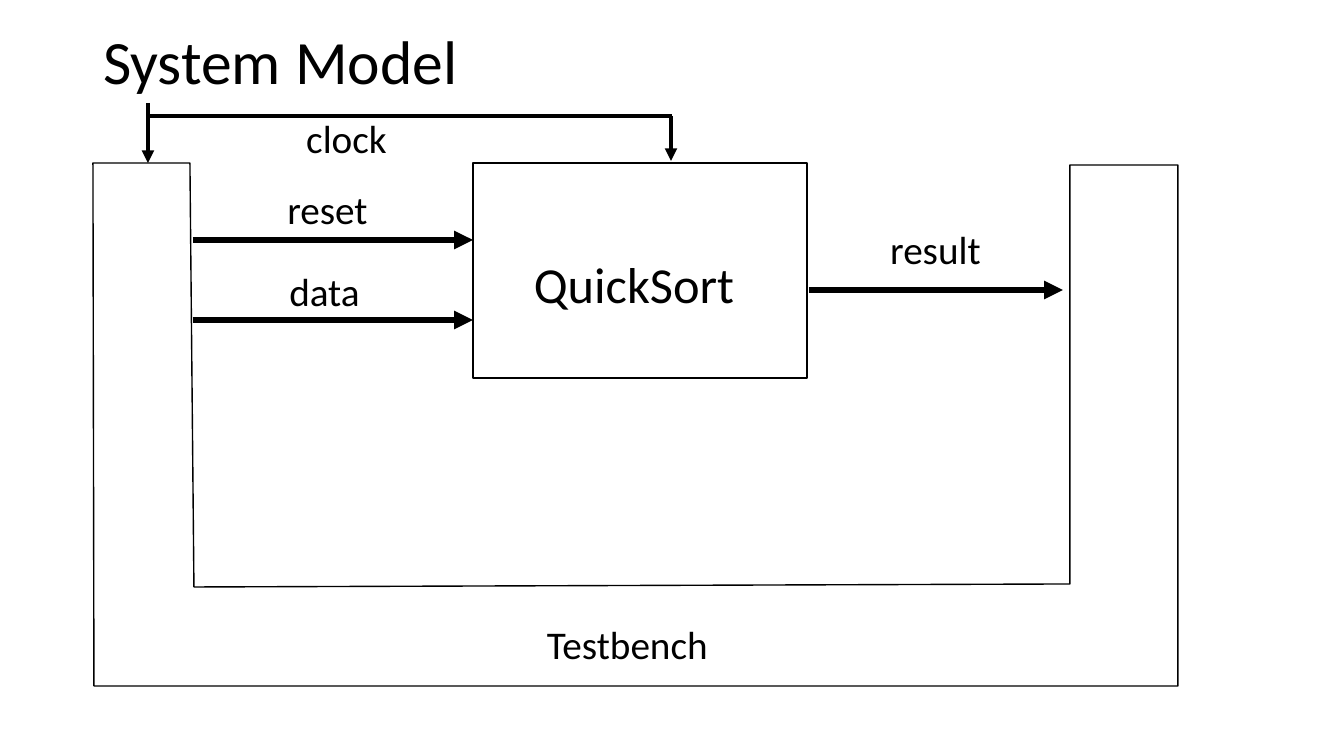
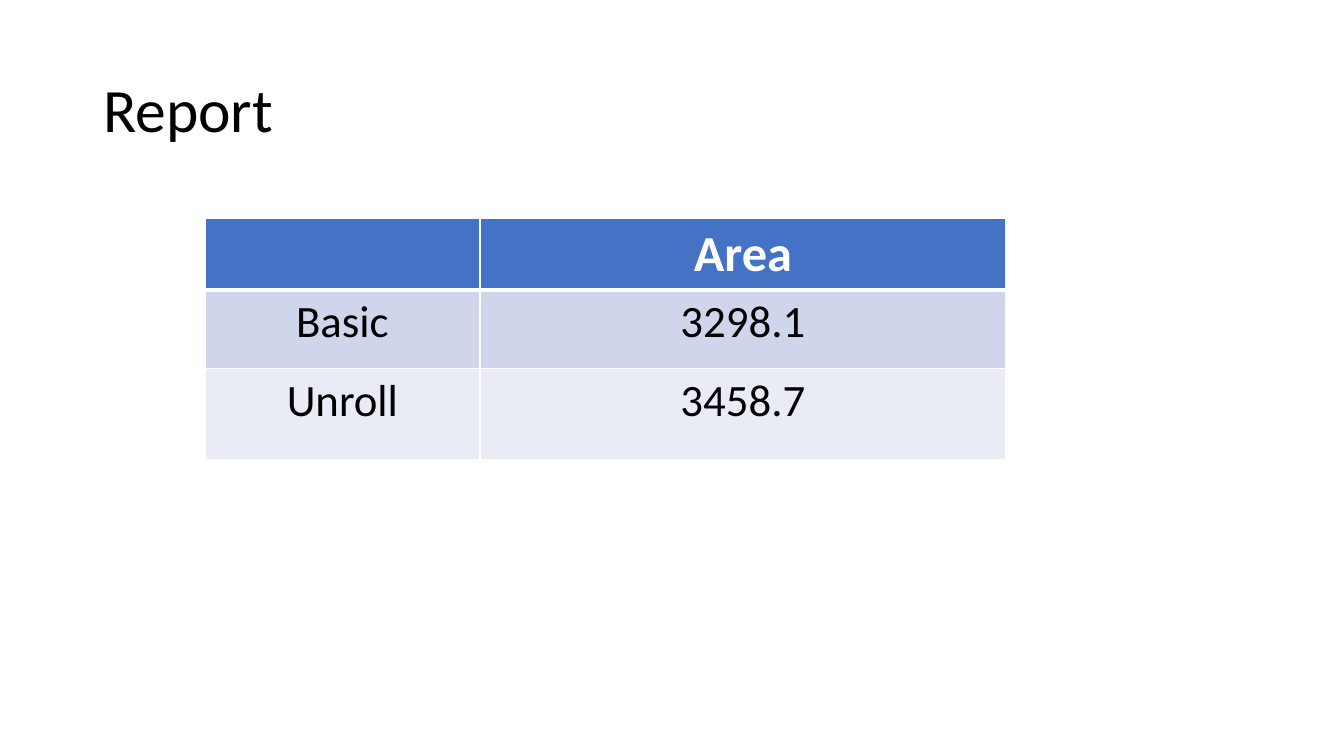
from lxml import etree
from pptx import Presentation
from pptx import util as u
from pptx.dml.color import RGBColor
from pptx.enum import shapes, text
from pptx.oxml import ns

SCALE = 914400 / 100.8
COLORS = {
    "ink": "000000",
    "paper": "FFFFFF",
    "header": "4472C4",
    "band_dark": "CFD5EA",
    "band_light": "E9EBF5",
}
LEFT, CENTER = text.PP_ALIGN.LEFT, text.PP_ALIGN.CENTER


def px(length):
    return u.Emu(round(length * SCALE))


def color(name):
    return RGBColor.from_string(COLORS[name])


def add_element(parent, tag, **attributes):
    return etree.SubElement(parent, ns.qn(tag), attributes)


def apply(target, **values):
    for name, value in values.items():
        setattr(target, name, value)


class Deck:
    font = "Calibri"

    def __init__(self, width, height):
        self.presentation = Presentation()
        apply(self.presentation, slide_width=px(width), slide_height=px(height))
        self.slide = None

    def put_text(self, frame, words, size, align=LEFT, ink="ink", bold=False):
        frame.text = words
        paragraph = frame.paragraphs[0]
        paragraph.alignment = align
        font = paragraph.runs[0].font
        apply(font, name=self.font, size=u.Pt(size), bold=bold)
        font.color.rgb = color(ink)
        return paragraph

    def outline(self, shape, width):
        shape.line.color.rgb = color("ink")
        shape.line.width = u.Pt(width)

    def add_slide(self, title, top, height):
        layout = self.presentation.slide_layouts[5]
        self.slide = self.presentation.slides.add_slide(layout)
        shape = self.slide.shapes.title
        apply(shape, left=px(93), top=px(top), width=px(1159), height=px(height))
        paragraph = self.put_text(shape.text_frame, title, 44)
        paragraph.line_spacing = 0.9
        apply(shape.text_frame, vertical_anchor=text.MSO_ANCHOR.MIDDLE, word_wrap=True)

    def label(self, words, left, top, size=28, align=CENTER, height=57):
        box = self.slide.shapes.add_textbox(px(left), px(top), px(269), px(height))
        box.text_frame.word_wrap = True
        self.put_text(box.text_frame, words, size, align)

    def box(self, left, top, width, height):
        shape = self.slide.shapes.add_shape(
            shapes.MSO_SHAPE.RECTANGLE, px(left), px(top), px(width), px(height))
        shape.shadow.inherit = False
        shape.fill.background()
        self.outline(shape, 1)

    def polygon(self, points):
        builder = self.slide.shapes.build_freeform(*points[0], scale=SCALE)
        builder.add_line_segments(points[1:], close=True)
        shape = builder.convert_to_shape()
        shape.shadow.inherit = False
        shape.fill.solid()
        shape.fill.fore_color.rgb = color("paper")
        self.outline(shape, 1)

    def line(self, start, end, width, arrow=True):
        connector = self.slide.shapes.add_connector(
            shapes.MSO_CONNECTOR.STRAIGHT, *map(px, start + end))
        self.outline(connector, width)
        properties = connector._element.spPr
        if arrow:
            add_element(properties.find(ns.qn("a:ln")), "a:tailEnd", type="triangle")
        add_element(properties, "a:effectLst")

    def border(self, cell, side, width):
        line = add_element(cell._tc.get_or_add_tcPr(), "a:ln" + side, w=str(u.Pt(width)))
        fill = add_element(line, "a:solidFill")
        add_element(fill, "a:srgbClr", val=COLORS["paper"])

    def table(self, left, top, columns, heights, rows, fills):
        table = self.slide.shapes.add_table(
            len(rows), len(columns), px(left), px(top),
            px(sum(columns)), px(sum(heights))).table
        for column, width in zip(table.columns, columns):
            column.width = px(width)
        for index, (row, height) in enumerate(zip(table.rows, heights)):
            row.height = px(height)
            header = index == 0
            style = dict(size=36, ink="paper", bold=True) if header else dict(size=32)
            widths = {"L": 1, "R": 1, "T": 3 if index == 1 else 1, "B": 3 if header else 1}
            for cell, words in zip(row.cells, rows[index]):
                for side, width in widths.items():
                    self.border(cell, side, width)
                cell.fill.solid()
                cell.fill.fore_color.rgb = color(fills[index])
                if words:
                    self.put_text(cell.text_frame, words, align=CENTER, **style)


deck = Deck(1344, 756)

deck.add_slide("System Model", top=14, height=102)
deck.polygon([(93, 163), (190, 163), (194, 587), (1070, 584),
              (1070, 165), (1178, 165), (1178, 686), (94, 686)])
deck.label("Testbench", 537, 615, align=LEFT)
deck.label("QuickSort", 524, 248, size=36, align=LEFT, height=71)
deck.box(473, 163, 334, 215)
for signal_y in (240, 320):
    deck.line((193, signal_y), (473, signal_y), 4.5)
deck.label("data", 190, 262)
deck.label("reset", 193, 180)
deck.line((148, 103), (148, 163), 3)
deck.line((148, 116), (672, 116), 3, arrow=False)
deck.line((671, 116), (671, 161), 3)
deck.label("clock", 212, 109)
deck.line((809, 290), (1063, 290), 4.5)
deck.label("result", 801, 220)

deck.add_slide("Report", top=40, height=146)
deck.table(205, 218, columns=(275, 526), heights=(66, 79, 91),
           rows=[("", "Area"), ("Basic", "3298.1"), ("Unroll", "3458.7")],
           fills=("header", "band_dark", "band_light"))

deck.presentation.save("out.pptx")
